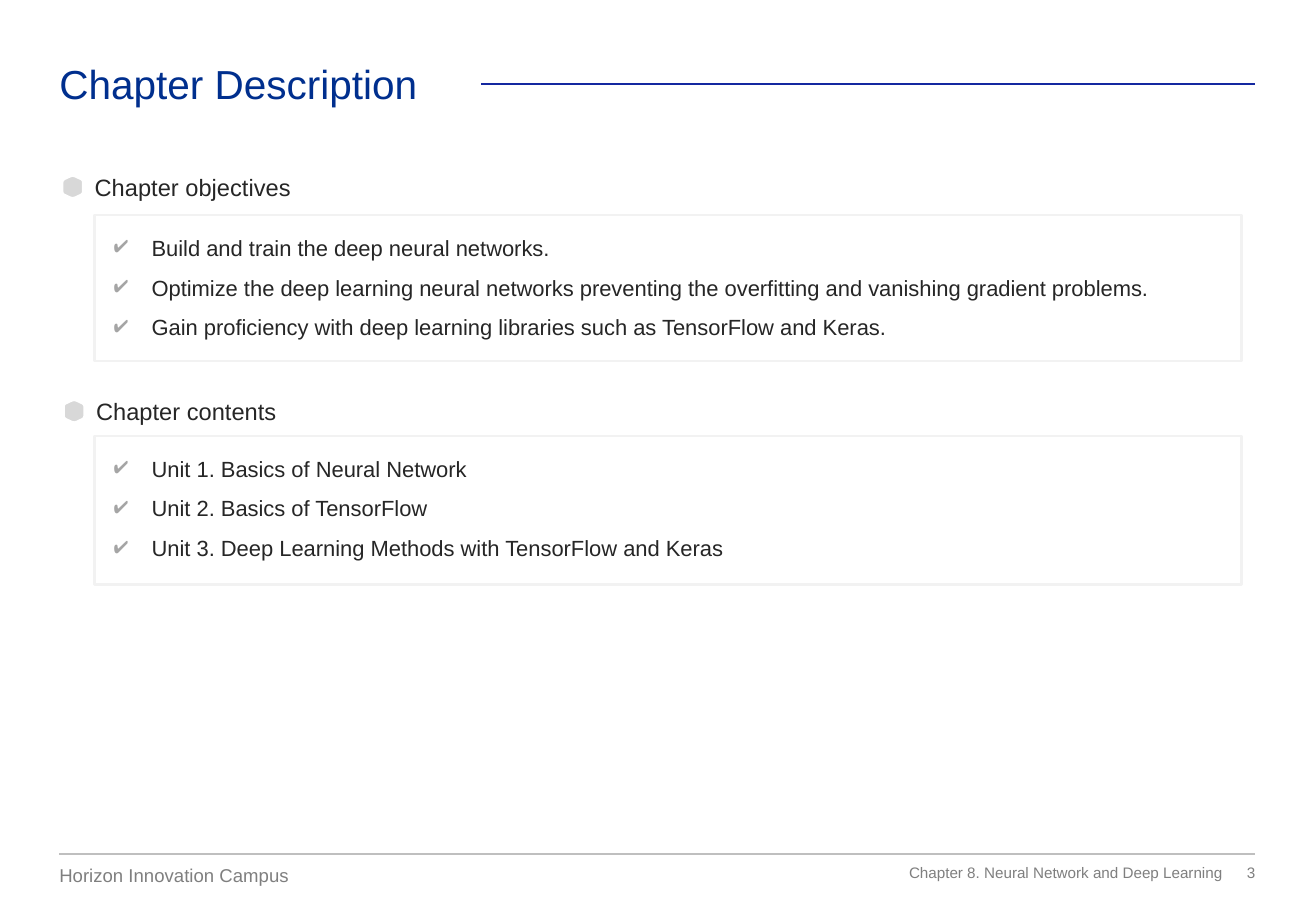
from lxml import etree
from pptx import Presentation
from pptx.dml.color import RGBColor
from pptx.enum import shapes, text
from pptx.oxml import ns
from pptx.util import Cm, Pt

TITLE_BLUE = RGBColor(0x00, 0x2F, 0x8E)
RULE_BLUE = RGBColor(0x14, 0x28, 0xA0)
INK = RGBColor(0x26, 0x26, 0x26)
FOOTER_GREY = RGBColor(0x7F, 0x7F, 0x7F)
RULE_GREY = RGBColor(0xBF, 0xBF, 0xBF)
CHECK_GREY = RGBColor(0xA5, 0xA5, 0xA5)
HEXAGON_GREY = RGBColor(0xD8, 0xD8, 0xD8)
FRAME_GREY = RGBColor(0xF2, 0xF2, 0xF2)
WHITE = RGBColor(0xFF, 0xFF, 0xFF)

LEFT, RIGHT = 1.24, 26.24
BODY_LEFT, BODY_WIDTH = 1.98, 23.98

# Upper right quarter of the rounded hexagon, from its centre, in 0.01 cm
HEXAGON_QUARTER = [(30, 9), (29, 17), (23, 23), (8, 30), (0, 32)]

# Heading: top, offset from the body edge; frame: top, height; items
SECTIONS = [
    ("Chapter objectives", 3.61, 0, 4.5, 3.05, [
        "Build and train the deep neural networks.",
        "Optimize the deep learning neural networks preventing the "
        "overfitting and vanishing gradient problems.",
        "Gain proficiency with deep learning libraries such as "
        "TensorFlow and Keras.",
    ]),
    ("Chapter contents", 8.3, 0.03, 9.12, 3.1, [
        "Unit 1. Basics of Neural Network",
        "Unit 2. Basics of TensorFlow",
        "Unit 3. Deep Learning Methods with TensorFlow and Keras",
    ]),
]


def set_format(target, values):
    for name, value in values.items():
        setattr(target, name, value)


def set_font(paragraph, size, color):
    set_format(paragraph.font, {"name": "Arial", "size": Pt(size)})
    paragraph.font.color.rgb = color


def set_frame(frame, margin, anchor=text.MSO_ANCHOR.TOP):
    sides = ("left", "top", "right", "bottom")
    set_format(frame, {f"margin_{side}": Cm(margin) for side in sides})
    set_format(frame, {"word_wrap": True, "vertical_anchor": anchor})


def add_text(slide, words, box, size, color, align=text.PP_ALIGN.LEFT,
             anchor=text.MSO_ANCHOR.TOP):
    shape = slide.shapes.add_textbox(*map(Cm, box))
    set_frame(shape.text_frame, 0, anchor)
    paragraph = shape.text_frame.paragraphs[0]
    paragraph.text = words
    paragraph.alignment = align
    set_font(paragraph, size, color)


def add_rule(slide, start, end, y, color, width):
    line = slide.shapes.add_connector(
        shapes.MSO_CONNECTOR.STRAIGHT, Cm(start), Cm(y), Cm(end), Cm(y))
    line.line.color.rgb = color
    line.line.width = Pt(width)
    etree.SubElement(line._element.spPr, ns.qn("a:effectLst"))


def add_hexagon(slide, x, y):
    quarter = HEXAGON_QUARTER
    right = quarter[::-1] + [(dx, -dy) for dx, dy in quarter]
    outline = right + [(-dx, -dy) for dx, dy in right]
    builder = slide.shapes.build_freeform(*outline[0], scale=Cm(0.01))
    builder.add_line_segments(outline[1:], close=True)
    shape = builder.convert_to_shape(Cm(x), Cm(y))
    shape.shadow.inherit = False
    shape.fill.solid()
    shape.fill.fore_color.rgb = HEXAGON_GREY
    shape.line.color.rgb = WHITE
    shape.line.width = Pt(6)


def add_check_bullet(paragraph):
    properties = paragraph._p.get_or_add_pPr()
    set_indent = {"marL": Cm(0.79), "indent": -Cm(0.79)}
    for name, value in set_indent.items():
        properties.set(name, str(value))
    color = etree.SubElement(properties, ns.qn("a:buClr"))
    etree.SubElement(color, ns.qn("a:srgbClr"), val=str(CHECK_GREY))
    etree.SubElement(properties, ns.qn("a:buChar"), char="✔")


def add_checklist(slide, top, height, items):
    shape = slide.shapes.add_shape(
        shapes.MSO_SHAPE.RECTANGLE,
        *map(Cm, (BODY_LEFT, top, BODY_WIDTH, height)))
    shape.shadow.inherit = False
    shape.fill.background()
    shape.line.color.rgb = FRAME_GREY
    shape.line.width = Pt(1.5)
    frame = shape.text_frame
    set_frame(frame, 0.4)
    for index, item in enumerate(items):
        paragraph = frame.add_paragraph() if index else frame.paragraphs[0]
        paragraph.text = item
        add_check_bullet(paragraph)
        paragraph.alignment = text.PP_ALIGN.LEFT
        if index:
            paragraph.space_before = Pt(8)
        set_font(paragraph, 13, INK)


def add_section(slide, heading, top, offset, frame_top, height, items):
    left = BODY_LEFT + offset
    add_text(slide, heading, (left, top, BODY_WIDTH, 0.6), 14, INK)
    add_hexagon(slide, left - 0.46, top + 0.3)
    add_checklist(slide, frame_top, height, items)


def add_footer(slide):
    add_rule(slide, LEFT, RIGHT, 17.86, RULE_GREY, 0.75)
    add_text(slide, "Horizon Innovation Campus", (LEFT, 18.06, 8.03, 0.48),
             11, FOOTER_GREY)
    for words, left, width in [
            ("Chapter 8. Neural Network and Deep Learning", 13.16, 12.39),
            ("3", 24.54, 1.7)]:
        add_text(slide, words, (left, 18.06, width, 0.38), 9, FOOTER_GREY,
                 text.PP_ALIGN.RIGHT, text.MSO_ANCHOR.MIDDLE)


def main():
    presentation = Presentation()
    set_format(presentation,
               {"slide_width": Cm(27.51), "slide_height": Cm(19.05)})
    slide = presentation.slides.add_slide(presentation.slide_layouts[6])

    # Title with its rule
    add_text(slide, "Chapter Description", (LEFT, 1.24, 24.38, 1.02),
             24, TITLE_BLUE)
    add_rule(slide, 10.06, RIGHT, 1.75, RULE_BLUE, 1)

    # Objectives and contents
    for section in SECTIONS:
        add_section(slide, *section)

    add_footer(slide)
    presentation.save("out.pptx")


if __name__ == "__main__":
    main()
